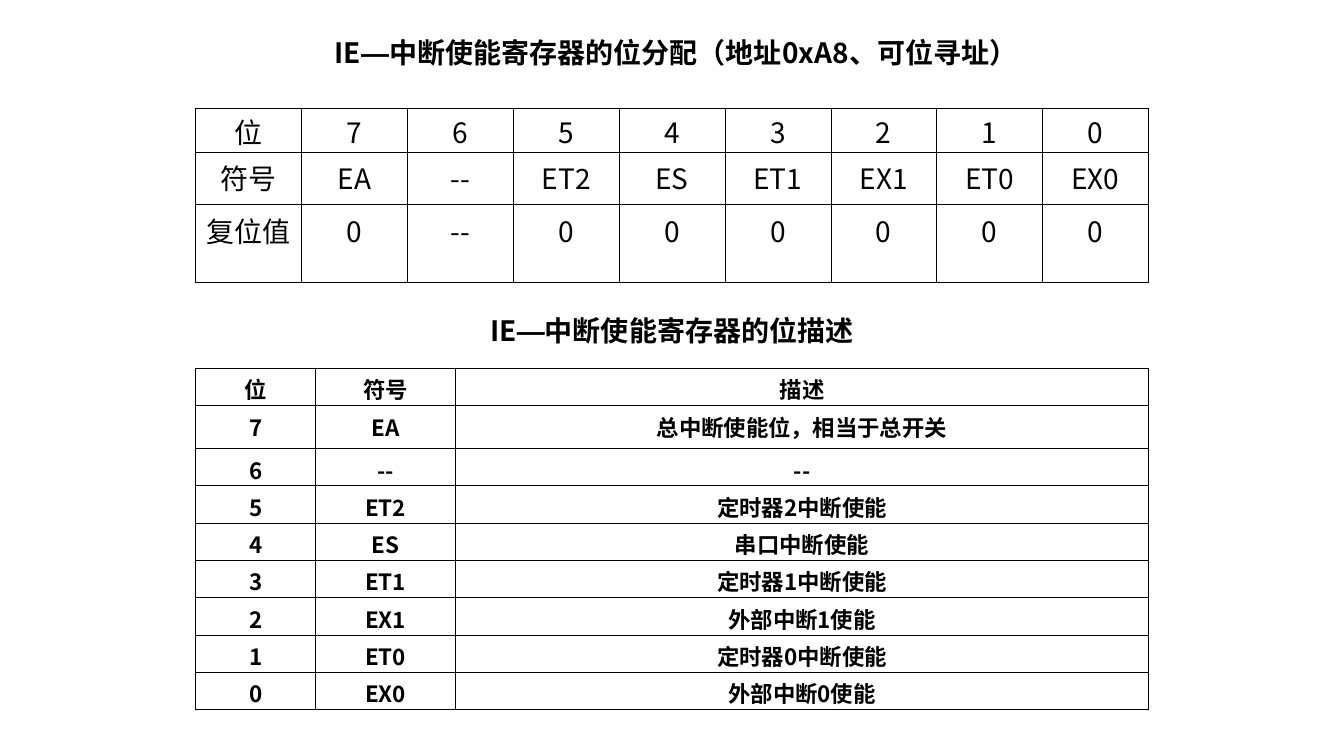
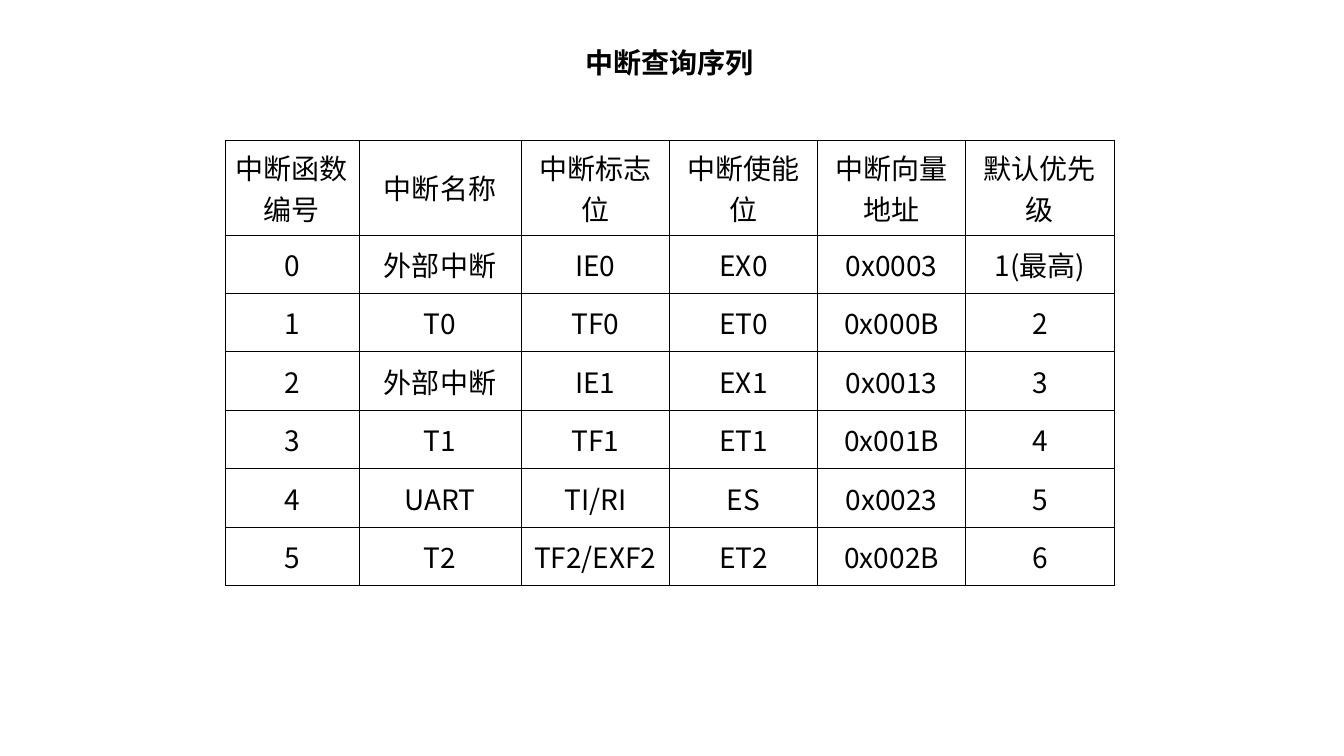
import pptx
import pptx.util
import pptx.dml.color
import pptx.enum.text
import pptx.oxml
import pptx.oxml.ns
from pptx.util import Inches

FONT, DASH_FONT = "Noto Sans CJK SC", "Arial"
BLACK = "000000"
BORDER_PT = 0.5
CELL_PAD = 0.05
LINE_HEIGHT = 1.46
SLIDE_W = 13.33
CENTER = pptx.enum.text.PP_ALIGN.CENTER
TOP = pptx.enum.text.MSO_ANCHOR.TOP
MIDDLE = pptx.enum.text.MSO_ANCHOR.MIDDLE

BITS = [str(n) for n in range(7, -1, -1)]
SYMBOLS = ["EA", "--", "ET2", "ES", "ET1", "EX1", "ET0", "EX0"]
RESETS = ["--" if symbol == "--" else "0" for symbol in SYMBOLS]
DESCRIPTIONS = [
    "总中断使能位，相当于总开关", "--", "定时器2中断使能", "串口中断使能",
    "定时器1中断使能", "外部中断1使能", "定时器0中断使能", "外部中断0使能",
]
QUERY_ROWS = [
    ["中断函数编号", "中断名称", "中断标志位", "中断使能位", "中断向量地址", "默认优先级"],
    ["0", "外部中断", "IE0", "EX0", "0x0003", "1(最高)"],
    ["1", "T0", "TF0", "ET0", "0x000B", "2"],
    ["2", "外部中断", "IE1", "EX1", "0x0013", "3"],
    ["3", "T1", "TF1", "ET1", "0x001B", "4"],
    ["4", "UART", "TI/RI", "ES", "0x0023", "5"],
    ["5", "T2", "TF2/EXF2", "ET2", "0x002B", "6"],
]


def color(value):
    return pptx.dml.color.RGBColor.from_string(value)


def add_run(p, text, size, bold=False, font=FONT):
    """Add a run whose Latin and East Asian fonts are the same."""
    r = p.add_run()
    r.text = text
    formats = {"size": pptx.util.Pt(size), "bold": bold, "name": font}
    for name, value in formats.items():
        setattr(r.font, name, value)
    r.font.color.rgb = color(BLACK)
    ea = pptx.oxml.parse_xml(
        f'<a:ea {pptx.oxml.ns.nsdecls("a")} typeface="{font}"/>')
    r.font._element.find(pptx.oxml.ns.qn("a:latin")).addnext(ea)


def add_heading(s, left, top, text):
    """Add a centred heading; its dash is set in a font of its own."""
    box = s.shapes.add_textbox(
        Inches(left), Inches(top), Inches(SLIDE_W), Inches(0.44))
    tf = box.text_frame
    tf.word_wrap = True
    p = tf.paragraphs[0]
    p.alignment = CENTER
    before, dash, after = text.partition("—")
    for part in filter(None, (before, dash, after)):
        add_run(p, part, 20, True, DASH_FONT if part == "—" else FONT)


def add_borders(cell):
    tc_pr = cell._tc.get_or_add_tcPr()
    for side in ("lnL", "lnR", "lnT", "lnB"):
        tc_pr.append(pptx.oxml.parse_xml(
            f'<a:{side} {pptx.oxml.ns.nsdecls("a")} w="{pptx.util.Pt(BORDER_PT)}">'
            f'<a:solidFill><a:srgbClr val="{BLACK}"/></a:solidFill></a:{side}>'))


def fill_cell(cell, text, height, size, bold, anchor):
    """Write a cell, trimming its padding where the row is tight."""
    room = max(0, height - size * LINE_HEIGHT / 72)
    pad_top = min(CELL_PAD, room)
    formats = {
        "vertical_anchor": anchor,
        "margin_top": Inches(pad_top),
        "margin_bottom": Inches(min(CELL_PAD, room - pad_top)),
    }
    for name, value in formats.items():
        setattr(cell, name, value)
    add_borders(cell)
    cell.fill.background()
    p = cell.text_frame.paragraphs[0]
    p.alignment = CENTER
    add_run(p, text, size, bold)


def add_grid(s, left, top, widths, heights, rows, size=20, bold=False,
             anchors=None):
    """Add a ruled table; anchors gives one vertical anchor per row."""
    anchors = anchors or [MIDDLE] * len(rows)
    table = s.shapes.add_table(
        len(rows), len(widths), Inches(left), Inches(top),
        Inches(sum(widths)), Inches(sum(heights))).table
    table.first_row = table.horz_banding = False
    for column, width in zip(table.columns, widths):
        column.width = Inches(width)
    for i, (texts, height, anchor) in enumerate(zip(rows, heights, anchors)):
        table.rows[i].height = Inches(height)
        for j, text in enumerate(texts):
            fill_cell(table.cell(i, j), text, height, size, bold, anchor)


def build_register_slide(s):
    left = 1.94
    add_heading(s, 0.04, 0.3, "IE—中断使能寄存器的位分配（地址0xA8、可位寻址）")
    layout_rows = [["位", *BITS], ["符号", *SYMBOLS], ["复位值", *RESETS]]
    add_grid(s, left, 1.07, [1.05] * 9, [0.44, 0.52, 0.77], layout_rows,
             anchors=[TOP] * 3)
    add_heading(s, 0, 3.06, "IE—中断使能寄存器的位描述")
    detail_rows = [("位", "符号", "描述"), *zip(BITS, SYMBOLS, DESCRIPTIONS)]
    add_grid(s, left, 3.65, [1.19, 1.39, 6.87], [0.37, 0.43] + [0.37] * 7,
             detail_rows, size=16, bold=True, anchors=[TOP] + [MIDDLE] * 8)


def build_query_slide(s):
    add_heading(s, -0.02, 0.4, "中断查询序列")
    add_grid(s, 2.23, 1.39, [1.33, 1.61] + [1.47] * 4, [0.94] + [0.58] * 6,
             QUERY_ROWS)


def main():
    prs = pptx.Presentation()
    prs.slide_width, prs.slide_height = Inches(SLIDE_W), Inches(7.5)
    for build in (build_register_slide, build_query_slide):
        build(prs.slides.add_slide(prs.slide_layouts[6]))
    prs.save("out.pptx")


if __name__ == "__main__":
    main()
